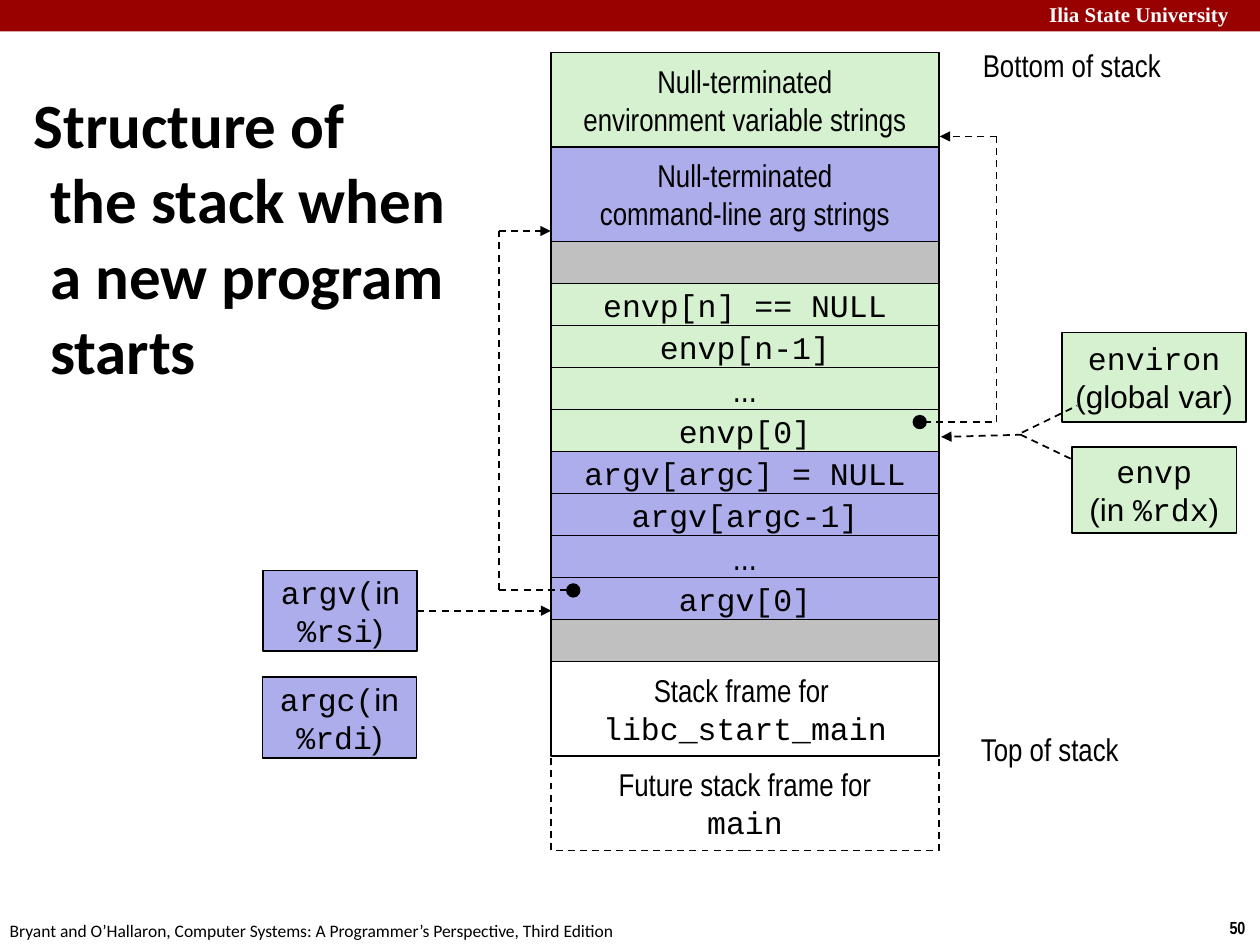
from lxml import etree
from pptx import Presentation
from pptx.dml.color import RGBColor
from pptx.enum.dml import MSO_LINE
from pptx.enum.shapes import MSO_CONNECTOR, MSO_SHAPE as Shape
from pptx.enum.text import MSO_ANCHOR as Anchor, MSO_AUTO_SIZE, PP_ALIGN as Align
from pptx.oxml.ns import qn
from pptx.util import Pt

# Content: a paragraph is a list of (text, font) runs
NARROW, MONO, SANS = "Arial Narrow", "Courier New", "Arial"
GREEN, VIOLET, GREY, BLACK = "D5F1CF", "ADADEB", "C0C0C0", "000000"
TALL, SHORT = 54, 24
TITLE = "Structure of \vthe stack when a new program starts"


def lines(font, *texts):
    return [[(text, font)] for text in texts]


def register(name, place):
    return [[(name + "(", MONO), ("in ", SANS), (place, MONO), (")", SANS)]]


# Stack blocks from top to bottom: height, fill, paragraphs, text size
STACK = [
    (TALL, GREEN, lines(NARROW, "Null-terminated", "environment variable strings"), 18),
    (TALL, VIOLET, lines(NARROW, "Null-terminated", "command-line arg strings"), 18),
    (SHORT, GREY, [], 18),
    (SHORT, GREEN, lines(MONO, "envp[n] == NULL"), 18),
    (SHORT, GREEN, lines(MONO, "envp[n-1]"), 18),
    (SHORT, GREEN, lines(NARROW, "..."), 20),
    (SHORT, GREEN, lines(MONO, "envp[0]"), 18),
    (SHORT, VIOLET, lines(MONO, "argv[argc] = NULL"), 18),
    (SHORT, VIOLET, lines(MONO, "argv[argc-1]"), 18),
    (SHORT, VIOLET, lines(NARROW, "..."), 20),
    (SHORT, VIOLET, lines(MONO, "argv[0]"), 18),
    (SHORT, GREY, [], 18),
    (TALL, None, [[("Stack frame for ", NARROW)], [("libc_start_main", MONO)]], 18),
    (TALL, None, [[("Future stack frame for", NARROW)], [("main", MONO)]], 18),
]
STACK_LEFT, STACK_TOP, STACK_WIDTH = 314.7, 30, 222

# Variables beside the stack: left, top, width, height, fill, paragraphs
VARIABLES = {
    "environ": (607, 190, 105, 51, GREEN,
                [[("environ", MONO)], [("(global var)", SANS)]]),
    "envp": (612.6, 255.5, 94, 49, GREEN,
             [[("envp", MONO)], [("(in ", SANS), ("%rdx", MONO), (")", SANS)]]),
    "argv": (150.5, 326, 88, 46, VIOLET, register("argv", "%rsi")),
    "argc": (150, 387, 88, 46, VIOLET, register("argc", "%rdi")),
}

# Dashed lines: start, end, arrowhead at the end
POINTERS = [
    ((324, 337), (285, 337), False),          # argv[0] to its string
    ((285, 337), (285, 132), False),
    ((285, 132), (314.7, 132), True),
    ((528, 241.2), (569.5, 241.2), False),    # envp[0] to its string
    ((569.5, 241.2), (569.5, 78), False),
    ((569.5, 78), (537, 78), True),
    ((584, 248.4), (537.8, 249.7), True),     # environ and envp to envp[0]
    ((584, 247.2), (615.6, 231.8), False),
    ((583.2, 248.4), (612.6, 262.5), False),
]
DOTS = [(327.6, 337.4), (525.6, 241.2)]
DOT_SIZE = 7.2

# Plain text: left, top, width, height, text, font, size, colour, bold
LABELS = [
    (592.5, -2.5, 132.5, 22, "Ilia State University", "Times New Roman", 12, "FFFFFF", True),
    (695.5, 520.5, 26, 19.5, "50", NARROW, 10, BLACK, True),
    (-1.5, 522, 366, 19.5,
     "Bryant and O’Hallaron, Computer Systems: A Programmer’s Perspective, Third Edition",
     "Calibri", 10, BLACK, False),
    (554.5, 23, 117.5, 29, "Bottom of stack", NARROW, 18, BLACK, False),
    (553.5, 413.5, 97, 29, "Top of stack", NARROW, 18, BLACK, False),
]


def color(code):
    return RGBColor.from_string(code)


def set_font(font, name, size, code=BLACK, bold=False):
    font.name, font.size, font.bold = name, Pt(size), bold
    font.color.rgb = color(code)


def set_line(line, dashed=False):
    line.color.rgb = color(BLACK)
    line.width = Pt(1)
    if dashed:
        line.dash_style = MSO_LINE.DASH


def add_box(kind, left, top, width, height, fill, outlined=True, dashed=False):
    box = page.shapes.add_shape(kind, Pt(left), Pt(top), Pt(width), Pt(height))
    box.shadow.inherit = False
    if fill:
        box.fill.solid()
        box.fill.fore_color.rgb = color(fill)
    else:
        box.fill.background()
    if outlined:
        set_line(box.line, dashed)
    else:
        box.line.fill.background()
    return box


def write(box, paras, size=18):
    frame = box.text_frame
    frame.word_wrap = True
    frame.vertical_anchor = Anchor.MIDDLE
    for i, runs in enumerate(paras):
        para = frame.add_paragraph() if i else frame.paragraphs[0]
        para.alignment = Align.CENTER
        for text, name in runs:
            span = para.add_run()
            span.text = text
            if len(runs) > 1:
                set_font(span.font, name, size)
        if len(runs) == 1:
            set_font(para.font, runs[0][1], size)


def add_line(start, end, arrow):
    link = page.shapes.add_connector(
        MSO_CONNECTOR.STRAIGHT, *(Pt(value) for value in start + end))
    set_line(link.line, dashed=True)
    if arrow:
        etree.SubElement(link.line._get_or_add_ln(), qn("a:tailEnd"), type="triangle")
    etree.SubElement(link._element.spPr, qn("a:effectLst"))
    return link


deck = Presentation()
deck.slide_width, deck.slide_height = Pt(720), Pt(540)
page = deck.slides.add_slide(deck.slide_layouts[5])

# Title with hanging indent
title = page.shapes.title
title.left, title.top, title.width, title.height = Pt(12), Pt(60), Pt(257), Pt(150)
title.text_frame.text = TITLE
title.text_frame.auto_size = MSO_AUTO_SIZE.NONE
title.text_frame.vertical_anchor = Anchor.MIDDLE
heading = title.text_frame.paragraphs[0]
heading.alignment = Align.LEFT
indent = heading._p.get_or_add_pPr()
indent.set("marL", str(Pt(9.4)))
indent.set("indent", str(-Pt(9.4)))
set_font(heading.font, "Calibri", 36, bold=True)

# Header band
add_box(Shape.RECTANGLE, 0, 0, 720, 18, "990000", outlined=False)

# Stack
top = STACK_TOP
for number, (height, fill, paras, size) in enumerate(STACK, 1):
    block = add_box(Shape.RECTANGLE, STACK_LEFT, top, STACK_WIDTH, height, fill,
                    dashed=number == len(STACK))
    write(block, paras, size)
    top += height

# Variables
boxes = {}
for name, (*place, fill, paras) in VARIABLES.items():
    boxes[name] = add_box(Shape.RECTANGLE, *place, fill)
    write(boxes[name], paras)

# Pointers
for pointer in POINTERS:
    add_line(*pointer)
add_line((238.5, 349), (315, 349), True).begin_connect(boxes["argv"], 3)
for x, y in DOTS:
    add_box(Shape.OVAL, x - DOT_SIZE / 2, y - DOT_SIZE / 2, DOT_SIZE, DOT_SIZE, BLACK)

# Labels
for left, top, width, height, text, *style in LABELS:
    label = page.shapes.add_textbox(Pt(left), Pt(top), Pt(width), Pt(height))
    label.text_frame.word_wrap = True
    label.text_frame.text = text
    set_font(label.text_frame.paragraphs[0].font, *style)

deck.save("out.pptx")
